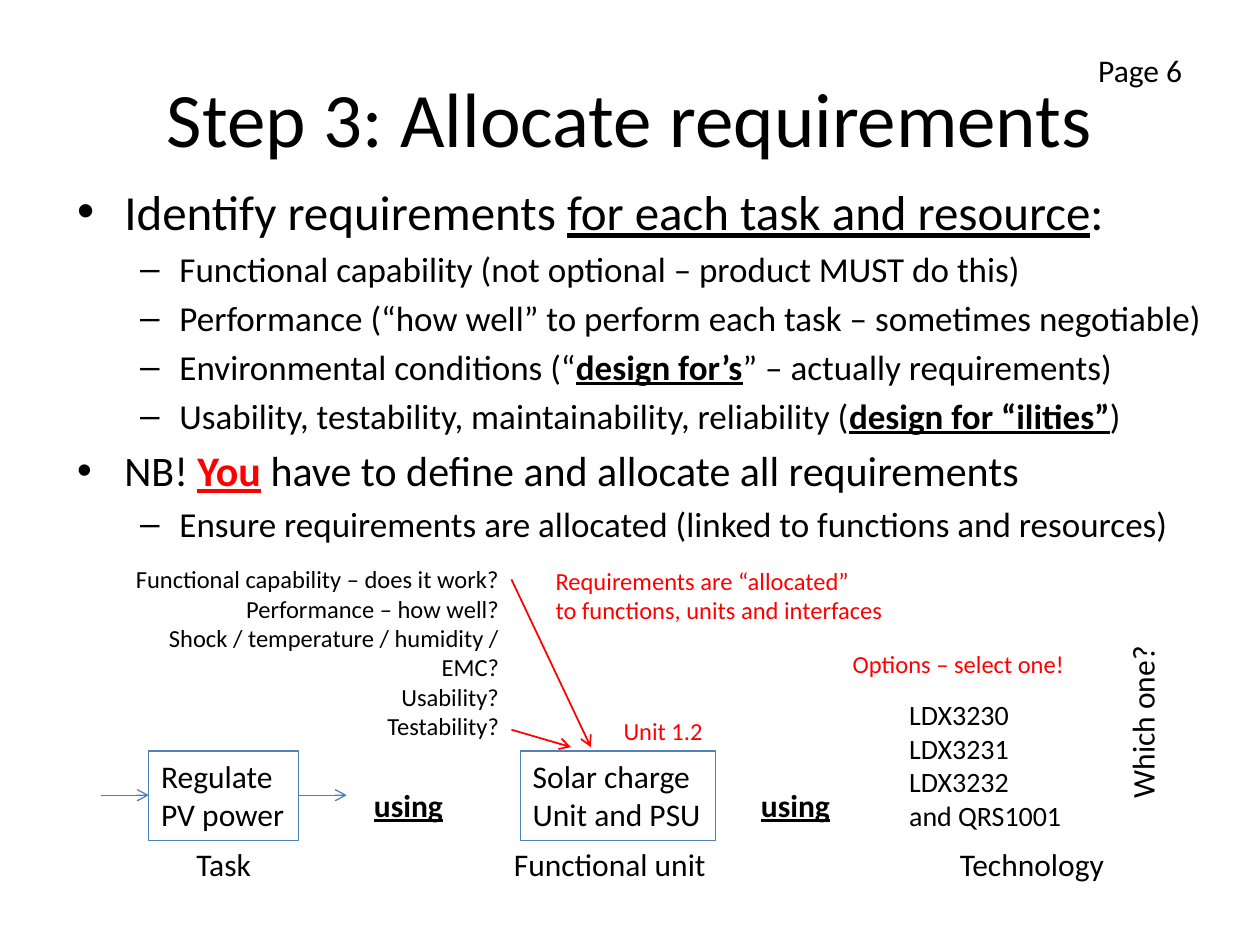
from lxml.etree import SubElement
from pptx import Presentation
from pptx.dml.color import RGBColor
from pptx.enum.shapes import MSO_CONNECTOR as Connector, MSO_SHAPE as Shape
from pptx.enum.text import MSO_ANCHOR as Anchor, MSO_AUTO_SIZE as AutoSize, PP_ALIGN as Align
from pptx.oxml.ns import qn
from pptx.util import Cm, Pt

BLACK, RED, BOX_BLUE, FLOW_BLUE = "000000", "FF0000", "4F81BD", "4B7EBC"
STRONG = {"bold": True, "underline": True}


def add_run(paragraph, text, size, color=BLACK, **formats):
    run = paragraph.add_run()
    run.text = text
    for name, value in {"name": "Calibri", "size": Pt(size), **formats}.items():
        setattr(run.font, name, value)
    run.font.color.rgb = RGBColor.from_string(color)


def fill_label(frame, lines, size, color=BLACK, wrap=False, align=Align.LEFT, **formats):
    settings = {"word_wrap": wrap, "auto_size": AutoSize.SHAPE_TO_FIT_TEXT, "vertical_anchor": Anchor.TOP}
    for name, value in settings.items():
        setattr(frame, name, value)
    for number, line in enumerate(lines):
        paragraph = frame.paragraphs[0] if number == 0 else frame.add_paragraph()
        paragraph.alignment = align
        add_run(paragraph, line, size, color, **formats)


deck = Presentation()
deck.slide_width, deck.slide_height = Cm(25.4), Cm(19.05)
slide = deck.slides.add_slide(deck.slide_layouts[1])
shapes = slide.shapes
title, body = slide.placeholders

for holder, place in [(title, (1.27, 0.76, 22.86, 3.18)), (body, (1.3, 3.53, 23.24, 13.28))]:
    holder.left, holder.top, holder.width, holder.height = map(Cm, place)

add_run(title.text_frame.paragraphs[0], "Step 3: Allocate requirements", 44)

outline = [
    (0, 28, [("Identify requirements ", {}), ("for each task and resource", {"underline": True}), (":", {})]),
    (1, 20, [("Functional capability (not optional – product MUST do this)", {})]),
    (1, 20, [("Performance (“how well” to perform each task – sometimes negotiable)", {})]),
    (1, 20, [("Environmental conditions (“", {}), ("design for’s", STRONG), ("” – actually requirements)", {})]),
    (1, 20, [("Usability, testability, maintainability, reliability (", {}),
             ("design for “ilities”", STRONG), (")", {})]),
    (0, 24, [("NB! ", {}), ("You", {"color": RED, **STRONG}),
             (" have to define and allocate all requirements", {})]),
    (1, 20, [("Ensure requirements are allocated (linked to functions and resources)", {})]),
]
for number, (level, size, parts) in enumerate(outline):
    paragraph = body.text_frame.paragraphs[0] if number == 0 else body.text_frame.add_paragraph()
    paragraph.level = level
    for text, formats in parts:
        add_run(paragraph, text, size, **formats)

questions = ["Functional capability – does it work?", "Performance – how well?",
             "Shock / temperature / humidity / EMC?", "Usability?", "Testability?"]
options = ["LDX3230", "LDX3231", "LDX3232", "and QRS1001"]
allocation = ["Requirements are “allocated” ", "to functions, units and interfaces"]
caption_top, using_top = 16.92, 15.72
labels = [
    ((1.9, 11.25, 8.41, 3.84), questions, 14, {"wrap": True, "align": Align.RIGHT}),
    ((7.29, using_top, 1.91, 1.02), ["using"], 18, STRONG),
    ((15.09, using_top, 1.91, 1.02), ["using"], 18, STRONG),
    ((3.71, caption_top, 1.63, 1.02), ["Task"], 18, {}),
    ((10.11, caption_top, 4.42, 1.02), ["Functional unit"], 18, {}),
    ((19.1, caption_top, 3.45, 1.02), ["Technology"], 18, {}),
    ((21.89, 0.91, 2.24, 1.02), ["Page 6"], 18, {}),
    ((12.32, 14.3, 2.13, 0.86), ["Unit 1.2"], 14, {"color": RED}),
    ((18.08, 13.94, 3.61, 3), options, 16, {}),
    ((16.94, 12.95, 4.83, 0.86), ["Options – select one!"], 14, {"color": RED}),
    ((10.95, 11.28, 7.16, 1.45), allocation, 14, {"color": RED}),
]
for place, lines, size, formats in labels:
    fill_label(shapes.add_textbox(*map(Cm, place)).text_frame, lines, size, **formats)

choice = shapes.add_textbox(Cm(21.21), Cm(14.02), Cm(3.63), Cm(1.02))
choice.rotation = 270
fill_label(choice.text_frame, ["Which one?"], 18)

for left, width, lines in [(3, 3.02, ["Regulate", "PV power"]),
                           (10.49, 3.94, ["Solar charge", "Unit and PSU"])]:
    block = shapes.add_shape(Shape.RECTANGLE, Cm(left), Cm(15.14), Cm(width), Cm(1.8))
    block.shadow.inherit = False
    block.fill.background()
    block.line.color.rgb = RGBColor.from_string(BOX_BLUE)
    block.line.width = Pt(0.75)
    fill_label(block.text_frame, lines, 18)

flow_y, target_y = 16.03, 15.06
arrows = [
    ((2.03, flow_y, 3, flow_y), FLOW_BLUE, 0.75),
    ((6.02, flow_y, 6.99, flow_y), FLOW_BLUE, 0.75),
    ((10.31, 11.68, 11.91, target_y), RED, 1),
    ((10.31, 14.71, 11.51, target_y), RED, 1),
]
for ends, color, width in arrows:
    arrow = shapes.add_connector(Connector.STRAIGHT, *map(Cm, ends))
    arrow.line.color.rgb = RGBColor.from_string(color)
    arrow.line.width = Pt(width)
    SubElement(arrow.line._get_or_add_ln(), qn("a:tailEnd"), type="arrow")
    SubElement(arrow._element.spPr, qn("a:effectLst"))

deck.save("out.pptx")
